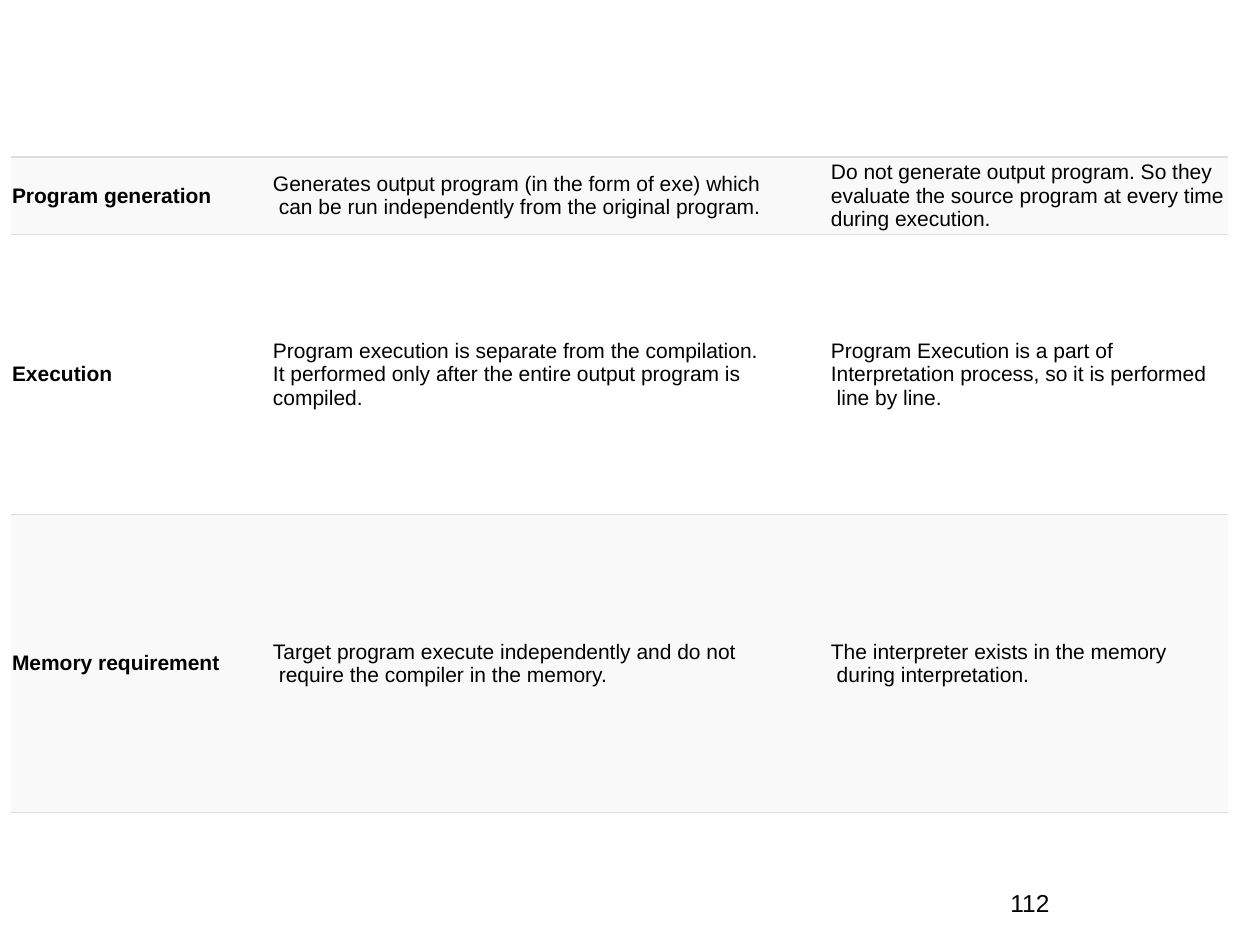
import pptx
import pptx.util
import pptx.dml.color
import pptx.enum.text
import pptx.oxml
import pptx.oxml.ns

SCALE = 914400 / 126
ROWS = [
    ("Program generation",
     "Generates output program (in the form of exe) which\n"
     " can be run independently from the original program.",
     "Do not generate output program. So they evaluate the source program "
     "at every time during execution."),
    ("Execution",
     "Program execution is separate from the compilation.\n"
     "It performed only after the entire output program is\ncompiled.",
     "Program Execution is a part of\n"
     "Interpretation process, so it is performed\n line by line."),
    ("Memory requirement",
     "Target program execute independently and do not\n"
     " require the compiler in the memory.",
     "The interpreter exists in the memory\n during interpretation."),
]


def px(size):
    return pptx.util.Emu(round(size * SCALE))


def color(code):
    return pptx.dml.color.RGBColor.from_string(code)


class Deck:
    font = "Arial"
    ink = "000000"
    rule = "DDDDDD"
    bands = ("F9F9F9", "FFFFFF")

    def __init__(self, wide, high):
        self.show = pptx.Presentation()
        self.show.slide_width = px(wide)
        self.show.slide_height = px(high)
        self.slide = self.show.slides.add_slide(self.show.slide_layouts[6])

    def style(self, frame, size, bold=False):
        for para in frame.paragraphs:
            for run in para.runs:
                run.font.name = self.font
                run.font.size = pptx.util.Pt(size)
                run.font.bold = bold
                run.font.color.rgb = color(self.ink)

    def text(self, words, left, top, wide, high, size):
        box = self.slide.shapes.add_textbox(px(left), px(top), px(wide), px(high))
        box.text_frame.word_wrap = True
        box.text_frame.text = words
        self.style(box.text_frame, size)

    def edge(self, cell):
        props = cell._tc.get_or_add_tcPr()
        space = pptx.oxml.ns.nsdecls("a")
        solid = f'<a:solidFill><a:srgbClr val="{self.rule}"/></a:solidFill>'
        for side in "LRTB":
            paint = solid if side in "TB" else "<a:noFill/>"
            props.append(pptx.oxml.parse_xml(
                f'<a:ln{side} {space} w="9525">{paint}</a:ln{side}>'))

    def cell(self, cell, words, fill, bold):
        cell.text_frame.text = words
        self.style(cell.text_frame, 12, bold)
        cell.vertical_anchor = pptx.enum.text.MSO_ANCHOR.MIDDLE
        cell.margin_left = cell.margin_right = px(1)
        cell.margin_top = cell.margin_bottom = px(1)
        self.edge(cell)
        cell.fill.solid()
        cell.fill.fore_color.rgb = color(fill)

    def table(self, rows, left, top, wides, highs):
        frame = self.slide.shapes.add_table(
            len(rows), len(wides), px(left), px(top), px(sum(wides)), px(sum(highs)))
        grid = frame.table
        grid.first_row = grid.horz_banding = False
        for col, wide in zip(grid.columns, wides):
            col.width = px(wide)
        for i, (row, high) in enumerate(zip(rows, highs)):
            grid.rows[i].height = px(high)
            for j, words in enumerate(row):
                self.cell(grid.cell(i, j), words, self.bands[i % 2], j == 0)


def main():
    deck = Deck(1260, 945)
    deck.text("112", 998, 882, 262, 63, 14)
    deck.table(ROWS, 11, 157, (261, 558, 398), (72, 280, 298))
    deck.show.save("out.pptx")


if __name__ == "__main__":
    main()
